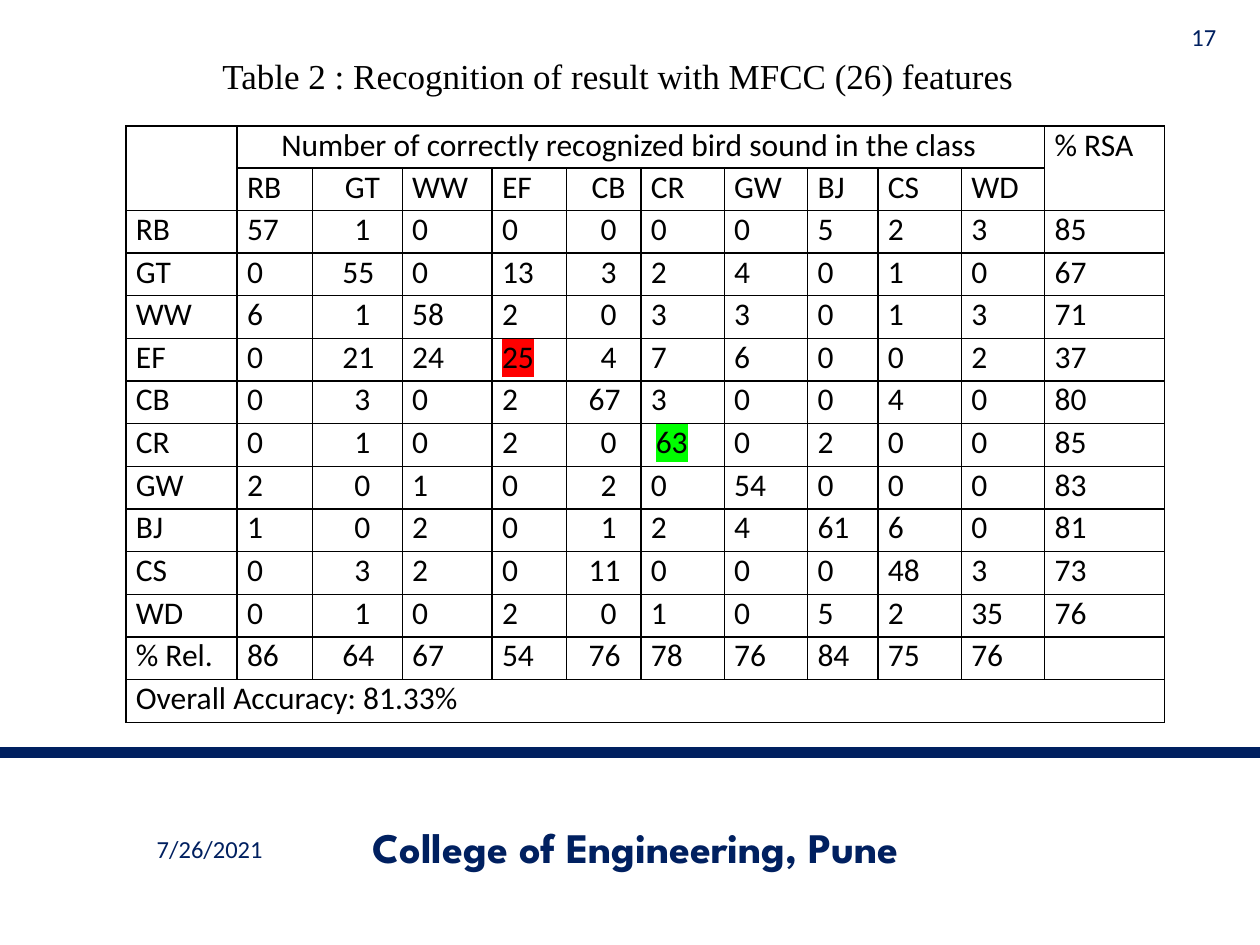
from lxml.etree import SubElement
from pptx import Presentation
from pptx.dml.color import RGBColor
from pptx.enum.shapes import MSO_CONNECTOR
from pptx.enum.text import MSO_ANCHOR, MSO_AUTO_SIZE, PP_ALIGN
from pptx.oxml import parse_xml
from pptx.oxml.ns import nsdecls, qn
from pptx.util import Cm, Pt

BLACK = RGBColor(0x00, 0x00, 0x00)
NAVY = RGBColor(0x00, 0x20, 0x60)
RED = RGBColor(0xFF, 0x00, 0x00)
GREEN = RGBColor(0x00, 0xFF, 0x00)

TITLE = "Table 2 : Recognition of result with MFCC (26) features"
SPAN_HEADING = "Number of correctly recognized bird sound in the class"
BIRDS = ["RB", "GT", "WW", "EF", "CB", "CR", "GW", "BJ", "CS", "WD"]
COUNTS = [
    [57, 1, 0, 0, 0, 0, 0, 5, 2, 3],
    [0, 55, 0, 13, 3, 2, 4, 0, 1, 0],
    [6, 1, 58, 2, 0, 3, 3, 0, 1, 3],
    [0, 21, 24, 25, 4, 7, 6, 0, 0, 2],
    [0, 3, 0, 2, 67, 3, 0, 0, 4, 0],
    [0, 1, 0, 2, 0, 63, 0, 2, 0, 0],
    [2, 0, 1, 0, 2, 0, 54, 0, 0, 0],
    [1, 0, 2, 0, 1, 2, 4, 61, 6, 0],
    [0, 3, 2, 0, 11, 0, 0, 0, 48, 3],
    [0, 1, 0, 2, 0, 1, 0, 5, 2, 35],
]
RSA = [85, 67, 71, 37, 80, 85, 83, 81, 73, 76]
RELIABILITY = [86, 64, 67, 54, 76, 78, 76, 84, 75, 76]
ACCURACY = "Overall Accuracy: 81.33%"

ROWS = [
    ["", SPAN_HEADING] + [""] * 9 + ["% RSA"],
    [""] + BIRDS + [""],
    *[[bird, *counts, rsa] for bird, counts, rsa in zip(BIRDS, COUNTS, RSA)],
    ["% Rel.", *RELIABILITY, ""],
    [ACCURACY] + [""] * 11,
]
MERGES = [((0, 0), (1, 0)), ((0, 1), (0, 10)), ((0, 11), (1, 11)), ((13, 0), (13, 11))]
HIGHLIGHTS = {(5, 4): RED, (7, 6): GREEN}
INDENTS = {(0, 1): 0.89, (7, 6): 0.3}
CENTRED_COLUMNS = {2, 5}
COLUMN_WIDTHS = [2.24, 1.52, 1.81, 1.81, 1.5, 1.5, 1.68, 1.68, 1.42, 1.68, 1.68, 2.41]
HEADER_HEIGHT, ROW_HEIGHT = 0.85, 0.86

TITLE_FONT = {"name": "Times New Roman", "size": Pt(20)}
CELL_FONT = {"name": "Calibri", "size": Pt(18), "bold": False}
SMALL_FONT = {"name": "Calibri", "size": Pt(14)}
COLLEGE_FONT = {"name": "League Spartan", "size": Pt(24), "bold": True}

# text, (left, top, width, height) in cm, alignment, font
FURNITURE = [
    ("7/26/2021", (1.27, 16.59, 5.92, 1.02), PP_ALIGN.CENTER, SMALL_FONT),
    ("College of Engineering, Pune", (6.15, 16.56, 13.34, 1.02), PP_ALIGN.CENTER, COLLEGE_FONT),
    ("17", (23.5, 0.38, 1.27, 0.71), PP_ALIGN.RIGHT, SMALL_FONT),
]


def write(frame, text, align, font, colour):
    paragraph = frame.paragraphs[0]
    paragraph.alignment = align
    run = paragraph.add_run()
    run.text = text
    for key, value in font.items():
        setattr(run.font, key, value)
    run.font.color.rgb = colour
    return run


def highlight(run, colour):
    mark = parse_xml(f'<a:highlight {nsdecls("a")}><a:srgbClr val="{colour}"/></a:highlight>')
    run.font._element.find(qn("a:solidFill")).addnext(mark)


def draw_borders(cell):
    properties = cell._tc.get_or_add_tcPr()
    for side in ("lnL", "lnR", "lnT", "lnB"):
        properties.append(parse_xml(
            f'<a:{side} {nsdecls("a")} w="{Pt(1)}"><a:solidFill>'
            f'<a:srgbClr val="{BLACK}"/></a:solidFill></a:{side}>'))


def fill_cell(cell, row, column, value):
    text = str(value)
    centred = column in CENTRED_COLUMNS
    wide_number = centred and text.isdigit() and len(text) == 2
    indent = INDENTS.get((row, column), 0.04 if wide_number else 0.2)
    cell.margin_left = Cm(indent)
    cell.margin_right = cell.margin_top = cell.margin_bottom = 0
    draw_borders(cell)
    cell.fill.background()
    if text:
        align = PP_ALIGN.CENTER if centred else PP_ALIGN.LEFT
        run = write(cell.text_frame, text, align, CELL_FONT, BLACK)
        if (row, column) in HIGHLIGHTS:
            highlight(run, HIGHLIGHTS[row, column])


def add_results(slide):
    heights = [HEADER_HEIGHT] * 2 + [ROW_HEIGHT] * (len(ROWS) - 2)
    table = slide.shapes.add_table(
        len(ROWS), len(COLUMN_WIDTHS), Cm(2.54), Cm(2.54),
        Cm(sum(COLUMN_WIDTHS)), Cm(sum(heights))).table
    table.first_row = table.horz_banding = False
    for column, width in zip(table.columns, COLUMN_WIDTHS):
        column.width = Cm(width)
    for row, height in zip(table.rows, heights):
        row.height = Cm(height)
    for r, values in enumerate(ROWS):
        for c, value in enumerate(values):
            fill_cell(table.cell(r, c), r, c, value)
    for first, last in MERGES:
        table.cell(*first).merge(table.cell(*last))


def add_furniture(slide):
    rule = slide.shapes.add_connector(
        MSO_CONNECTOR.STRAIGHT, 0, Cm(15.17), Cm(25.4), Cm(15.17))
    rule.line.color.rgb = NAVY
    rule.line.width = Pt(6.5)
    SubElement(rule._element.spPr, qn("a:effectLst"))
    for text, box, align, font in FURNITURE:
        frame = slide.shapes.add_textbox(*map(Cm, box)).text_frame
        frame.word_wrap = True
        frame.vertical_anchor = MSO_ANCHOR.MIDDLE
        write(frame, text, align, font, NAVY)


def add_title(slide):
    title = slide.shapes.title
    title.left, title.top, title.width, title.height = map(Cm, (1.35, 0.97, 22.22, 1.96))
    frame = title.text_frame
    frame.vertical_anchor = MSO_ANCHOR.TOP
    frame.auto_size = MSO_AUTO_SIZE.NONE
    write(frame, TITLE, PP_ALIGN.CENTER, TITLE_FONT, BLACK)


def main():
    presentation = Presentation()
    presentation.slide_width, presentation.slide_height = Cm(25.4), Cm(19.05)
    slide = presentation.slides.add_slide(presentation.slide_layouts[5])
    add_furniture(slide)
    add_title(slide)
    add_results(slide)
    presentation.save("out.pptx")


if __name__ == "__main__":
    main()
